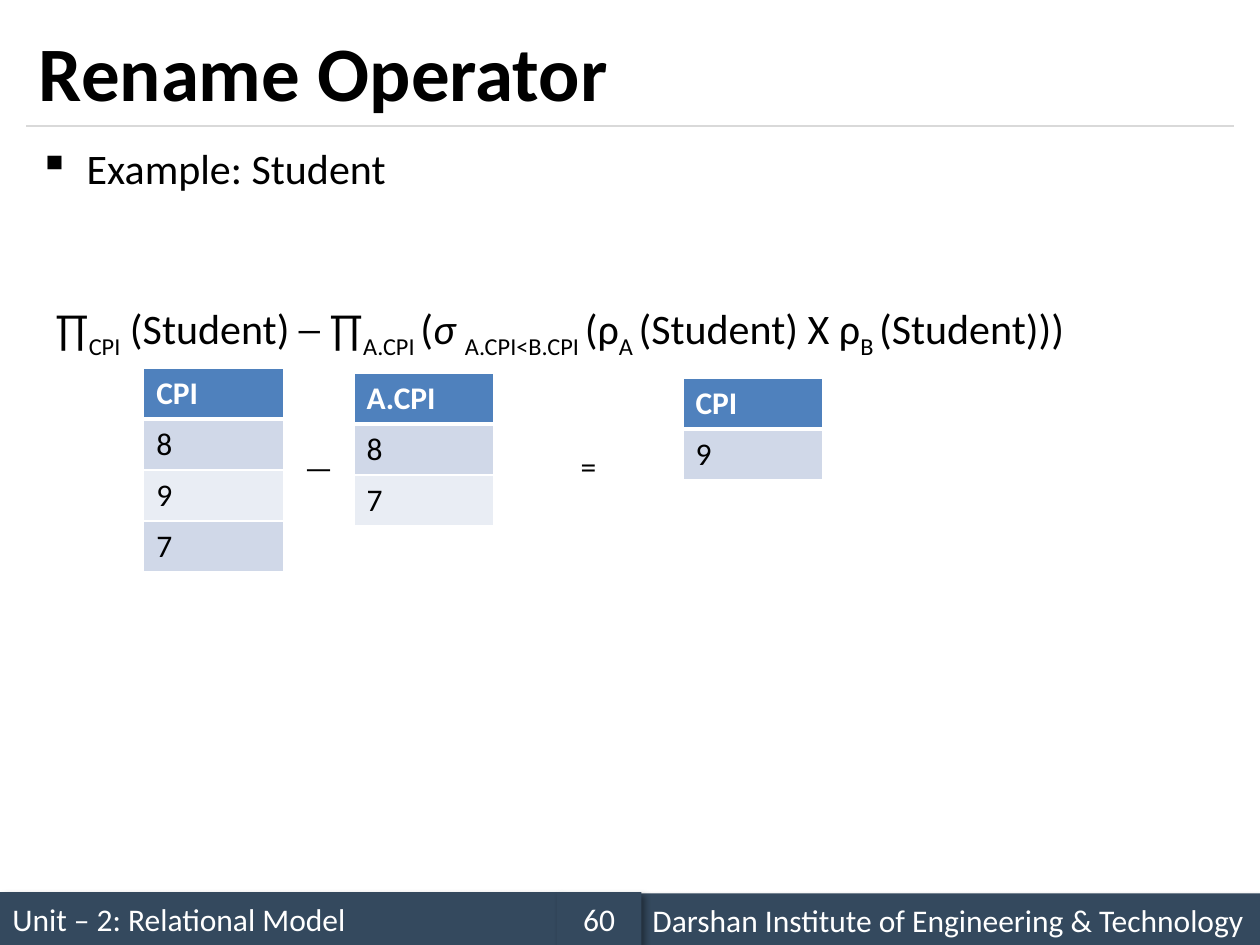
from pptx import Presentation, oxml, util as u
from pptx.dml.color import RGBColor
from pptx.enum import shapes, text
from pptx.oxml.ns import nsdecls, qn

THEME = {
    "font": "Calibri", "ink": "000000", "paper": "FFFFFF", "bar": "34495E",
    "rule": "D9D9D9", "header": "4F81BD", "bands": ("D0D8E8", "E9EDF4"),
    "title": 44, "body": 24, "small": 18,
}
TITLE = "Rename Operator"
EXAMPLE = "Example: Student"
# (text, style) with "sub" for subscript and "italic" for slanted symbols
FORMULA = [
    ("∏", ""), ("CPI", "sub"), (" (Student) ─ ∏", ""), ("A.CPI ", "sub"),
    ("(", ""), ("σ ", "italic"), ("A.CPI<B.CPI ", "sub"), ("(ρ", ""),
    ("A ", "sub"), ("(Student) X ρ", ""), ("B ", "sub"), ("(Student)))", ""),
]
# left, top, column entries
RELATIONS = [
    (2.81, 2.96, ["A.CPI", "8", "7"]),
    (1.14, 2.92, ["CPI", "8", "9", "7"]),
    (5.42, 3.00, ["CPI", "9"]),
]
OPERATORS = [(2.28, 3.51, "—"), (4.42, 3.50, "=")]
# left, top, width, alignment, text
FOOTER = [
    (0, 7.08, 4.42, "LEFT", "Unit – 2: Relational Model"),
    (5.08, 7.09, 4.92, "LEFT", "Darshan Institute of Engineering & Technology"),
    (4.42, 7.08, 0.67, "CENTER", "60"),
]
COLUMN, ROW, BAR = 1.11, 0.405, 0.42


def rgb(name):
    return RGBColor.from_string(THEME.get(name, name))


def apply(target, values):
    for name, value in values.items():
        setattr(target, name, value)


def box(*lengths):
    return [u.Inches(length) for length in lengths]


def write(paragraph, words, size, color="ink", **font_values):
    run = paragraph.add_run()
    run.text = words
    apply(run.font, {"name": THEME["font"], "size": u.Pt(THEME[size]), **font_values})
    run.font.color.rgb = rgb(color)
    return run


def text_box(slide, place, anchor="TOP"):
    frame = slide.shapes.add_textbox(*box(*place)).text_frame
    apply(frame, {"word_wrap": True,
                  "vertical_anchor": getattr(text.MSO_ANCHOR, anchor)})
    return frame


def add_footer_bar(slide, left, top, width, alignment, words):
    bar = slide.shapes.add_shape(shapes.MSO_SHAPE.RECTANGLE, *box(left, top, width, BAR))
    bar.fill.solid()
    bar.fill.fore_color.rgb = rgb("bar")
    bar.line.fill.background()
    bar.shadow.inherit = False
    bar._element.spPr.find(qn("a:effectLst")).append(oxml.parse_xml(
        f'<a:outerShdw {nsdecls("a")} blurRad="{u.Pt(4)}" dist="{u.Pt(3)}" dir="2700000">'
        '<a:srgbClr val="000000"><a:alpha val="40000"/></a:srgbClr></a:outerShdw>'))
    apply(bar.text_frame, {"word_wrap": True, "vertical_anchor": text.MSO_ANCHOR.MIDDLE})
    paragraph = bar.text_frame.paragraphs[0]
    paragraph.alignment = getattr(text.PP_ALIGN, alignment)
    write(paragraph, words, "small", "paper")


def add_rule(slide):
    rule = slide.shapes.add_connector(shapes.MSO_CONNECTOR.STRAIGHT, *box(0.21, 1, 9.79, 1))
    rule.line.color.rgb = rgb("rule")
    rule.line.width = u.Pt(0.75)
    rule._element.spPr.append(oxml.parse_xml(f'<a:effectLst {nsdecls("a")}/>'))


def add_body(slide):
    frame = text_box(slide, (0.21, 1.08, 9.58, 5.83))
    example, formula = frame.paragraphs[0], frame.add_paragraph()
    properties = example._p.get_or_add_pPr()
    apply_indent = {"marL": u.Inches(0.38), "indent": -u.Inches(0.38)}
    for name, value in apply_indent.items():
        properties.set(name, str(value))
    properties.append(oxml.parse_xml(f'<a:buChar {nsdecls("a")} char="▪"/>'))
    write(example, EXAMPLE, "body")
    formula.space_before = u.Pt(63)
    formula._p.get_or_add_pPr().set("marL", str(u.Inches(0.13)))
    for words, style in FORMULA:
        run = write(formula, words, "body", italic=style == "italic")
        if style == "sub":
            run.font._element.set("baseline", "-25000")


def add_borders(cell, row):
    """White edges, with a thick one between the header and the rows below."""
    widths = {"L": 1, "R": 1, "T": 3 if row == 1 else 1, "B": 3 if row == 0 else 1}
    for index, (side, width) in enumerate(widths.items()):
        cell._tc.get_or_add_tcPr().insert(index, oxml.parse_xml(
            f'<a:ln{side} {nsdecls("a")} w="{u.Pt(width)}"><a:solidFill>'
            f'<a:srgbClr val="{THEME["paper"]}"/></a:solidFill></a:ln{side}>'))


def add_relation(slide, left, top, entries):
    table = slide.shapes.add_table(
        len(entries), 1, *box(left, top, COLUMN, ROW * len(entries))).table
    for row, entry in enumerate(entries):
        is_header = row == 0
        cell = table.cell(row, 0)
        cell.fill.solid()
        cell.fill.fore_color.rgb = rgb("header" if is_header else THEME["bands"][(row - 1) % 2])
        add_borders(cell, row)
        write(cell.text_frame.paragraphs[0], entry, "small",
              "paper" if is_header else "ink", bold=is_header)


def main():
    deck = Presentation()
    apply(deck, {"slide_width": u.Inches(10), "slide_height": u.Inches(7.5)})
    slide = deck.slides.add_slide(deck.slide_layouts[6])
    for part in FOOTER:
        add_footer_bar(slide, *part)
    add_rule(slide)
    title = text_box(slide, (0.21, 0.12, 9.58, 0.88), "MIDDLE")
    write(title.paragraphs[0], TITLE, "title", bold=True)
    add_body(slide)
    for relation in RELATIONS:
        add_relation(slide, *relation)
    for left, top, symbol in OPERATORS:
        paragraph = text_box(slide, (left, top, 0.5, 0.4)).paragraphs[0]
        paragraph.alignment = text.PP_ALIGN.CENTER
        write(paragraph, symbol, "small")
    deck.save("out.pptx")


if __name__ == "__main__":
    main()
